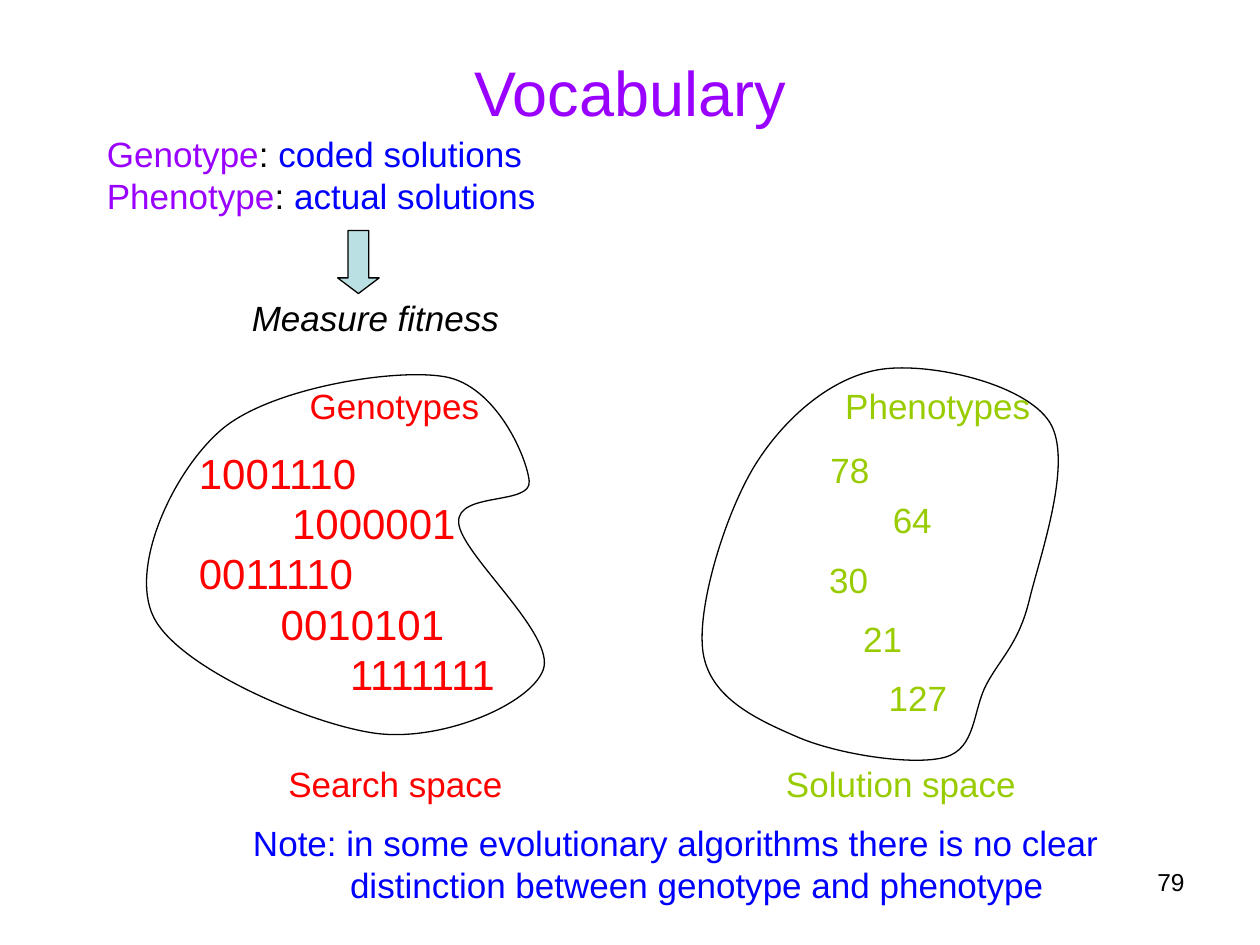
from lxml.etree import SubElement as Sub
from pptx import Presentation
from pptx.dml.color import RGBColor
from pptx.enum.shapes import MSO_SHAPE as Kind
from pptx.enum.text import MSO_ANCHOR as Anchor, PP_ALIGN as Align
from pptx.oxml.ns import qn
from pptx.util import Inches, Pt

PURPLE, BLUE, RED = "9900FF", "0000FF", "FF0000"
GREEN, BLACK, PALE = "99CC00", "000000", "BBE0E3"
COLS, ROWS = 100, 75


def hue(code):
    return RGBColor.from_string(code)


class Board:
    """Style and current slide; lengths are columns and rows of the grid."""

    def __init__(self, deck):
        self.slide = deck.slides.add_slide(deck.slide_layouts[6])
        self.shapes = self.slide.shapes
        self.col = deck.slide_width / COLS
        self.row = deck.slide_height / ROWS
        self.font = "Arial"

    def spot(self, x, y):
        return round(x * self.col), round(y * self.row)

    def text(self, x, y, w, h, size=20, anchor=Anchor.TOP):
        """Add an empty text box and return a function that adds lines."""
        box = self.shapes.add_textbox(*self.spot(x, y), *self.spot(w, h))
        frame = box.text_frame
        frame.word_wrap = True
        frame.vertical_anchor = anchor
        fresh = [frame.paragraphs[0]]

        def line(*runs, align=Align.LEFT, stops=(), before=0, italic=None):
            para = fresh.pop() if fresh else frame.add_paragraph()
            para.alignment = align
            if before:
                para.space_before = Pt(before)
            font = para.font
            font.name, font.size, font.italic = self.font, Pt(size), italic
            if len({code for _, code in runs}) == 1:
                font.color.rgb = hue(runs[0][1])
            for words, code in runs:
                run = para.add_run()
                run.text = words
                run.font.color.rgb = hue(code)
            if stops:
                self.tabs(para, stops)

        return line

    def tabs(self, para, stops):
        props = para._p.get_or_add_pPr()
        tabs = Sub(props, qn("a:tabLst"))
        props.insert_element_before(tabs, "a:defRPr", "a:extLst")
        for stop in stops:
            Sub(tabs, qn("a:tab"), pos=str(round(stop * self.col)), algn="l")

    def edge(self, shape):
        shape.shadow.inherit = False
        shape.line.color.rgb = hue(BLACK)
        shape.line.width = Pt(0.75)

    def arrow(self, x, y, w, h):
        shape = self.shapes.add_shape(
            Kind.DOWN_ARROW, *self.spot(x, y), *self.spot(w, h))
        shape.adjustments[0], shape.adjustments[1] = 0.5, 0.375
        shape.fill.solid()
        shape.fill.fore_color.rgb = hue(PALE)
        self.edge(shape)

    def curve(self, knots):
        """Draw a closed smooth curve through the knots."""
        pts = [self.spot(*knot) for knot in knots]
        pen = self.shapes.build_freeform(*pts[0])
        pen.add_line_segments(pts[1:] + pts[:1], close=True)
        shape = pen.convert_to_shape()
        shape.fill.background()
        self.edge(shape)
        # Each control point lies a sixth of the neighbours' distance away
        count = len(pts)
        sides = list(shape._element.iter(qn("a:lnTo")))
        for i, side in enumerate(sides):
            a, b, c, d = (pts[(i + k) % count] for k in (-1, 0, 1, 2))
            out = [q + (r - p) / 6 for p, q, r in zip(a, b, c)]
            into = [q - (r - p) / 6 for p, q, r in zip(b, c, d)]
            side.tag = qn("a:cubicBezTo")
            side.remove(side[0])
            for x, y in (out, into, c):
                Sub(side, qn("a:pt"), x=str(round(x - shape.left)),
                    y=str(round(y - shape.top)))


def main():
    deck = Presentation()
    deck.slide_width, deck.slide_height = Inches(10), Inches(7.5)
    board = Board(deck)

    # Title
    title = board.text(5, 3, 90, 8.5, 36, Anchor.MIDDLE)
    title(("Vocabulary", PURPLE), align=Align.CENTER)

    # Definitions, with the arrow to the fitness step
    terms = board.text(7.5, 10, 38, 17.7)
    for term, sense in (("Genotype", "coded"), ("Phenotype", "actual")):
        terms((term, PURPLE), (": ", BLACK), (f"{sense} solutions", BLUE))
    terms(("\tMeasure fitness", BLACK), stops=[11.5], before=46, italic=True)
    board.arrow(26.8, 18.3, 3.3, 5)

    # Outlines of the two spaces
    board.curve([(63.3, 58.5), (55.8, 51.8), (60, 36.8), (70, 29.3),
                 (83.3, 33.5), (81.7, 47.6), (78.3, 54.3), (75, 60.1)])
    board.curve([(29.8, 58.2), (12.2, 49), (17.7, 34), (35.3, 29.9),
                 (42, 38.2), (36.4, 41.5), (43.1, 53.2)])

    # Genotype codes
    codes = board.text(14.8, 35, 27, 21, 24)
    for code, shift in (("1001110", 0), ("1000001", 7.4), ("0011110", 0),
                        ("0010101", 6.5), ("1111111", 12)):
        if shift:
            codes((f"\t{code}", RED), stops=[shift])
        else:
            codes((code, RED))

    # Names of the spaces and the note
    foot = board.text(19.1, 60, 72, 12.4)
    foot(("\tSearch space\t", RED), ("Solution space", GREEN),
         stops=[2.8, 42.3])
    foot(("Note: in some evolutionary algorithms there is no clear", BLUE),
         before=10)
    foot(("\tdistinction between genotype and phenotype", BLUE), stops=[7.7])

    # Headings inside the outlines
    heads = board.text(21.5, 30, 62, 4.4)
    heads(("\tGenotypes\t", RED), ("Phenotypes", GREEN), stops=[2.1, 44.6])

    # Phenotype values
    for value, x, y, w in (("78", 64.3, 35.1, 6.3), ("64", 67.3, 39.1, 10.2),
                           ("30", 64.2, 43.8, 6.3), ("21", 67.3, 48.5, 5.5),
                           ("127", 68.9, 53.2, 7.9)):
        board.text(x, y, w, 4.4)((value, GREEN), align=Align.CENTER)

    # Page number
    page = board.text(71.7, 68.3, 23.3, 5.2, 14)
    page(("79", BLACK), align=Align.RIGHT)

    deck.save("out.pptx")


if __name__ == "__main__":
    main()
